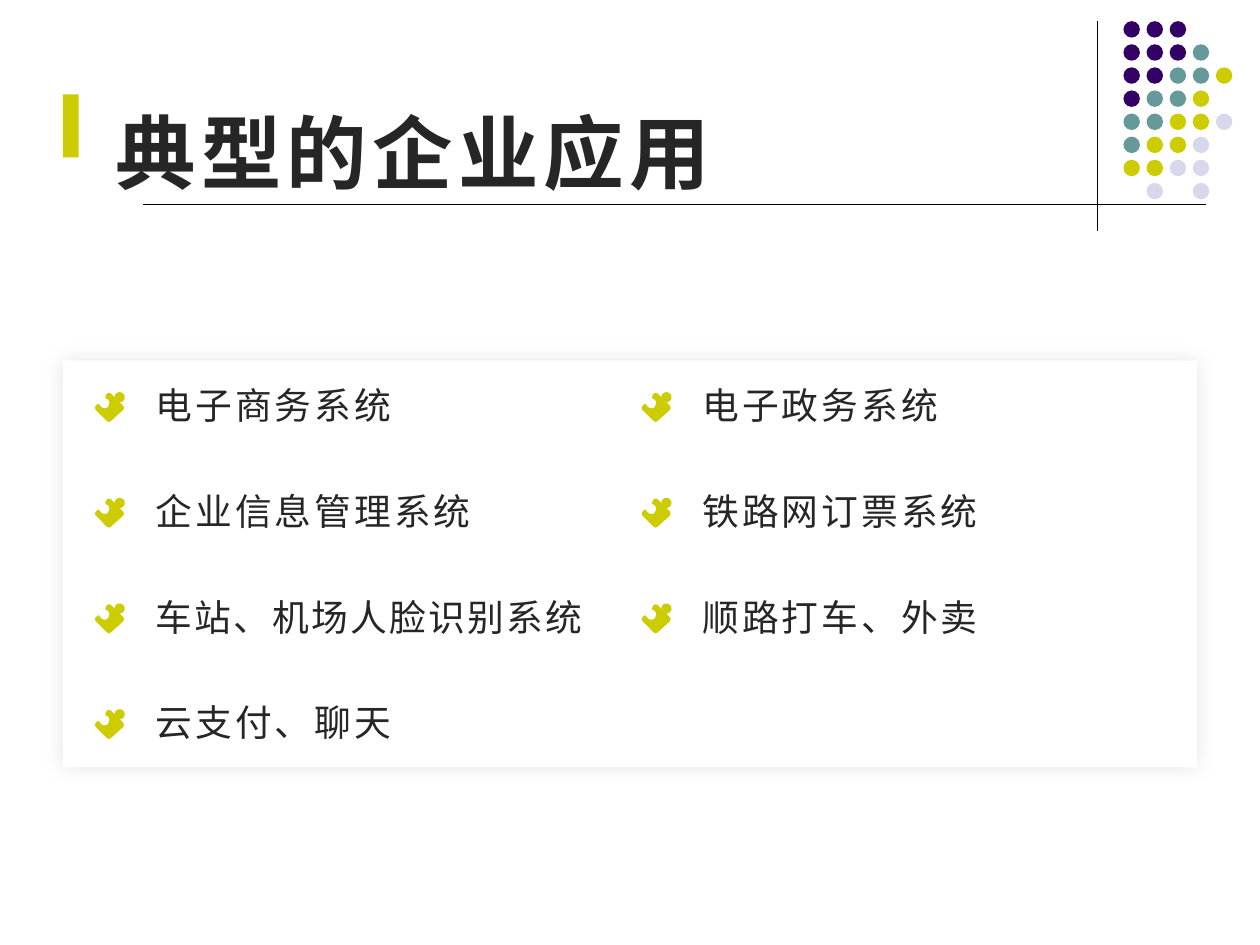
from math import cos, radians, sin

from lxml.etree import SubElement as Sub
from pptx import Presentation
from pptx.dml.color import RGBColor as RGB
from pptx.enum.shapes import MSO_CONNECTOR as LINE, MSO_SHAPE as SHAPE
from pptx.enum.text import MSO_ANCHOR as ANCHOR
from pptx.oxml.ns import qn
from pptx.util import Pt

BLACK = RGB(0x00, 0x00, 0x00)
WHITE = RGB(0xFF, 0xFF, 0xFF)
DARK = RGB(0x26, 0x26, 0x26)
LIME = RGB(0xCC, 0xCC, 0x00)
PLUM = RGB(0x33, 0x00, 0x66)
TEAL = RGB(0x66, 0x99, 0x99)
PALE = RGB(0xD8, 0xD8, 0xEC)

HAN = "Noto Sans CJK SC"
HEAD = {"name": HAN, "size": Pt(46), "bold": True}
BODY = {"name": "Arial", "size": Pt(21)}

# Dot pattern, one letter per dot
HUES = {"p": PLUM, "t": TEAL, "l": LIME, "w": PALE}
DOTS = ["ppp", "pppt", "ppttl", "pttl", "ttllw", "tllw", "llww", " w w"]

# Items in reading order with their letter spacing
ITEMS = [
    ("电子商务系统", 1.7), ("电子政务系统", 1.7),
    ("企业信息管理系统", 1.7), ("铁路网订票系统", 1.7),
    ("车站、机场人脸识别系统", 1.3), ("顺路打车、外卖", 1.7),
    ("云支付、聊天", 1.7),
]

# Puzzle piece outline, in thousandths of an inch
PIECE = [
    (160, 40), (130, 10), (115, 6), (100, 10), (90, 30), (86, 40), (90, 50),
    (110, 60), (120, 80), (115, 105), (103, 123), (80, 130), (55, 120),
    (40, 100), (30, 93), (20, 100), (10, 110), (4, 125), (10, 140),
    (100, 230), (115, 237), (130, 230), (230, 140), (234, 125), (230, 110),
    (200, 80),
]
# Round knob: three quarters of a circle
KNOB = [(round(200 + 40 * cos(radians(a))), round(40 + 40 * sin(radians(a))))
        for a in range(90, -181, -15)]


def paint(shape, color):
    shape.shadow.inherit = False
    shape.fill.solid()
    shape.fill.fore_color.rgb = color
    shape.line.fill.background()
    return shape


def block(slide, kind, x, y, w, h, color):
    shape = slide.shapes.add_shape(kind, Pt(x), Pt(y), Pt(w), Pt(h))
    return paint(shape, color)


def glow(shape):
    fx = shape.element.spPr.find(qn("a:effectLst"))
    shade = Sub(fx, qn("a:outerShdw"), blurRad=str(Pt(12)), dist="0",
                dir="0", algn="ctr", rotWithShape="0")
    tone = Sub(shade, qn("a:srgbClr"), val=str(BLACK))
    Sub(tone, qn("a:alpha"), val="10000")


def rule(slide, x1, y1, x2, y2, width):
    line = slide.shapes.add_connector(LINE.STRAIGHT, Pt(x1), Pt(y1), Pt(x2), Pt(y2))
    line.line.color.rgb = BLACK
    line.line.width = Pt(width)
    Sub(line.element.spPr, qn("a:effectLst"))


def label(slide, box, text, style, gap, inset, anchor, after=0):
    frame = slide.shapes.add_textbox(*map(Pt, box)).text_frame
    side, edge = map(Pt, inset)
    form = {"word_wrap": True, "vertical_anchor": anchor,
            "margin_left": side, "margin_right": side,
            "margin_top": edge, "margin_bottom": edge}
    for key, value in form.items():
        setattr(frame, key, value)
    para = frame.paragraphs[0]
    para.space_after = Pt(after)
    run = para.add_run()
    run.text = text
    for key, value in style.items():
        setattr(run.font, key, value)
    run.font.color.rgb = DARK
    # Letter spacing and the font for Chinese text
    props = run.font._element
    props.set("spc", str(round(gap * 100)))
    props.find(qn("a:latin")).addnext(props.makeelement(qn("a:ea"), {"typeface": HAN}))


def icon(slide, x, y):
    for pts in (KNOB, PIECE):
        pen = slide.shapes.build_freeform(*pts[0], scale=Pt(0.072))
        pen.add_line_segments(pts[1:], close=True)
        paint(pen.convert_to_shape(Pt(x), Pt(y)), LIME)


def dots(slide):
    for row, marks in enumerate(DOTS):
        for col, mark in enumerate(marks):
            if mark in HUES:
                block(slide, SHAPE.OVAL, 642 + 13.2 * col, 12.1 + 13.2 * row,
                      9.4, 9.4, HUES[mark])


def main():
    deck = Presentation()
    deck.slide_width, deck.slide_height = Pt(720), Pt(540)
    slide = deck.slides.add_slide(deck.slide_layouts[6])

    # Frame lines and dots
    rule(slide, 627, 12, 627, 132, 0.75)
    dots(slide)
    rule(slide, 82, 116.8, 689, 116.8, 0.5)

    # Title with its accent bar
    label(slide, (62.6, 57.6, 603.4, 59.8), "典型的企业应用", HEAD, 3,
          (3.6, 1.44), ANCHOR.TOP)
    block(slide, SHAPE.RECTANGLE, 36, 54, 9, 36, LIME)

    # Card with two columns of items
    glow(block(slide, SHAPE.RECTANGLE, 36, 206, 648, 232.5, WHITE))
    for i, (text, gap) in enumerate(ITEMS):
        row, col = divmod(i, 2)
        x, y = 54 + 312.4 * col, 212.4 + 60.4 * row
        icon(slide, x, y + 11.7)
        label(slide, (x + 28, y, 271.4, 38.2), text, BODY, gap,
              (7.2, 3.6), ANCHOR.MIDDLE, 8)

    deck.save("out.pptx")


if __name__ == "__main__":
    main()
